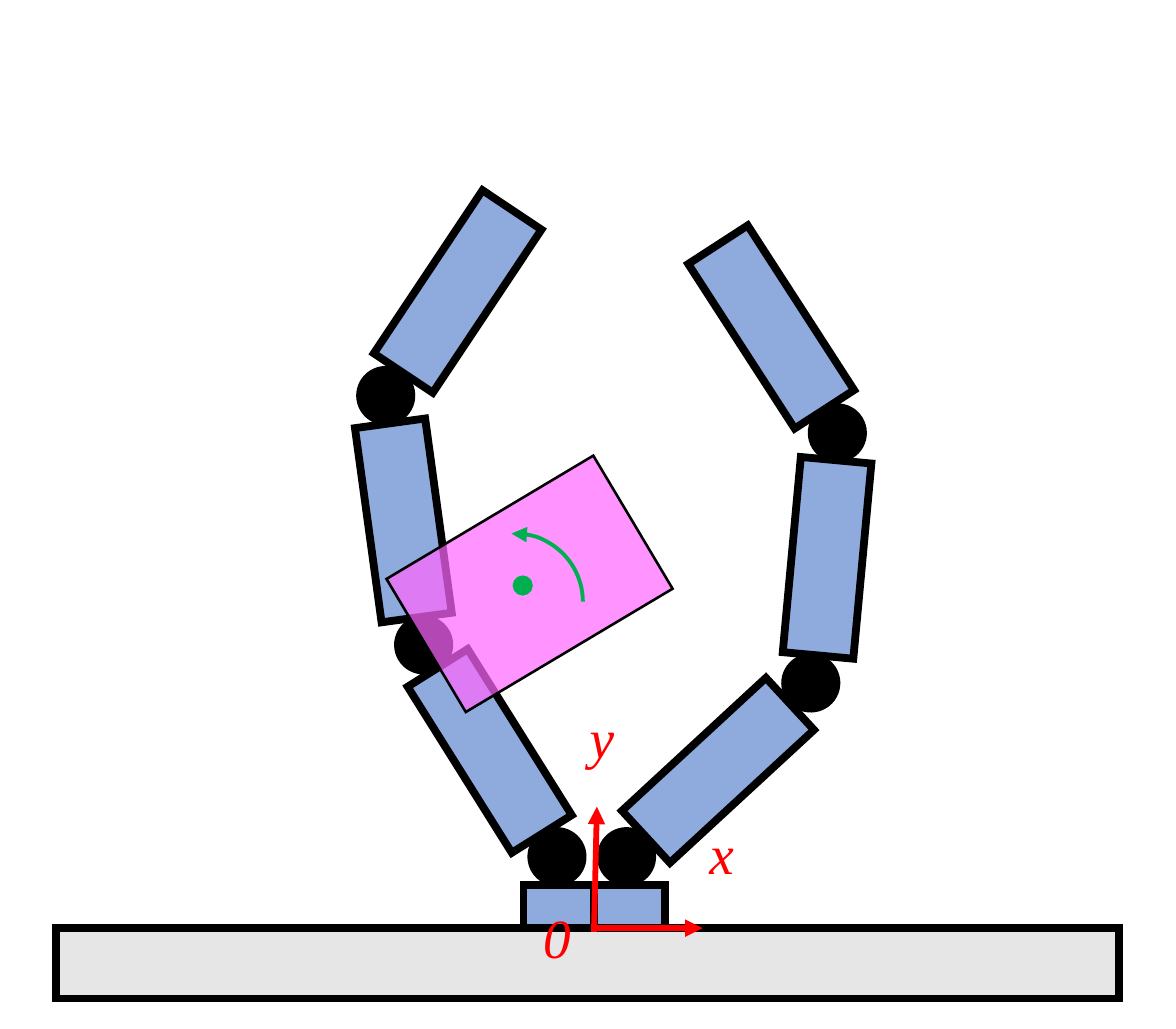
from lxml import etree
from pptx import Presentation, util as u
from pptx.dml.color import RGBColor
from pptx.enum import shapes, text
from pptx.oxml.ns import qn

COLUMNS, ROWS = 630, 551
CELL = u.Inches(0.01)
BLACK, BLUE, GRAY = "000000", "8FAADC", "E7E6E6"
RED, GREEN, PINK = "FF0000", "00B050", "FF66FF"
RECTANGLE = shapes.MSO_SHAPE.RECTANGLE
OVAL = shapes.MSO_SHAPE.OVAL
ARC = shapes.MSO_SHAPE.ARC

BLOCK = dict(preset=RECTANGLE, size=(38, 23), fill=BLUE, weight=3)
GROUND = dict(preset=RECTANGLE, size=(569.4, 38), fill=GRAY, weight=3)
LINK = dict(preset=RECTANGLE, size=(38, 105), fill=BLUE, weight=3)
JOINT = dict(preset=OVAL, size=(25.4, 25.4), fill=BLACK, weight=4.5)
GRASPED = dict(preset=RECTANGLE, size=(83, 129), fill=PINK, opacity=70)
CENTER = dict(preset=OVAL, size=(9.4, 9.4), fill=GREEN, line=GREEN)
TURN = dict(preset=ARC, size=(73, 73), line=GREEN, weight=1.5,
            start=160.386, head="triangle")

GRIPPER = [
    (BLOCK, 299.4, 485.5, 180),
    (GROUND, 314.7, 515.7, 0),
    (LINK, 262.4, 402.1, 327.9),
    (BLOCK, 337.4, 485.5, 180),
    (JOINT, 335.7, 458.7, 231),
    (JOINT, 298.4, 458.7, 231),
    (JOINT, 227, 345.3, 231),
    (LINK, 216.1, 278.7, 352.2),
    (JOINT, 206.7, 211.8, 231),
    (LINK, 384.6, 412.5, 47.3),
    (JOINT, 434.4, 365.7, 231),
    (LINK, 443.1, 298.7, 5.3),
    (JOINT, 448.6, 231.8, 231),
    (LINK, 413.2, 175.1, 327.1),
    (LINK, 245.2, 156.1, 33.7),
]
AXES = [((318.2, 497), (376.4, 497)), ((318.2, 499), (319.8, 432))]
LABELS = [
    ("x", (386.5, 457), (35, 46), text.PP_ALIGN.CENTER),
    ("y", (322.4, 394.5), (38, 46), text.PP_ALIGN.CENTER),
    ("0", (305.2, 502), (48, 46), text.PP_ALIGN.LEFT),
]
LOAD = [
    (GRASPED, 283.7, 312.6, 239.2),
    (CENTER, 280, 313.5, 0),
    (TURN, 275.8, 322.2, 0),
]


def color(value):
    return RGBColor.from_string(value)


def cells(*counts):
    return [round(count * CELL) for count in counts]


def box(middle, size):
    (x, y), (width, height) = middle, size
    return cells(x - width / 2, y - height / 2, width, height)


def set_line(shape, value, weight, **ends):
    shape.line.color.rgb = color(value)
    shape.line.width = u.Pt(weight)
    line = shape.line._get_or_add_ln()
    etree.SubElement(line, qn("a:miter"), lim="800000")
    for end, arrow in ends.items():
        etree.SubElement(line, qn(f"a:{end}End"), type=arrow)


def add_part(slide, style, x, y, rotation):
    shape = slide.shapes.add_shape(style["preset"], *box((x, y), style["size"]))
    shape.rotation = rotation
    shape.shadow.inherit = False
    if "fill" in style:
        shape.fill.solid()
        shape.fill.fore_color.rgb = color(style["fill"])
    else:
        shape.fill.background()
    if "opacity" in style:
        tint = shape.fill._xPr.find(".//" + qn("a:srgbClr"))
        etree.SubElement(tint, qn("a:alpha"), val=str(style["opacity"] * 1000))
    if "start" in style:
        shape.adjustments[0] = style["start"]
    ends = {"head": style["head"]} if "head" in style else {}
    set_line(shape, style.get("line", BLACK), style.get("weight", 1), **ends)


def add_axis(slide, start, end):
    axis = slide.shapes.add_connector(
        shapes.MSO_CONNECTOR.STRAIGHT, *cells(*start, *end))
    set_line(axis, RED, 2.25, tail="triangle")
    etree.SubElement(axis._element.spPr, qn("a:effectLst"))


def add_text(slide, words, middle, size, align, font="Times New Roman",
             points=21.3, fill=RED, italic=True):
    label = slide.shapes.add_textbox(*box(middle, size))
    frame = label.text_frame
    frame.word_wrap = True
    frame.auto_size = text.MSO_AUTO_SIZE.SHAPE_TO_FIT_TEXT
    paragraph = frame.paragraphs[0]
    paragraph.alignment = align
    run = paragraph.add_run()
    run.text = words
    run.font.name = font
    run.font.size = u.Pt(points)
    run.font.italic = italic
    run.font.color.rgb = color(fill)


def main():
    presentation = Presentation()
    presentation.slide_width, presentation.slide_height = cells(COLUMNS, ROWS)
    slide = presentation.slides.add_slide(presentation.slide_layouts[6])
    for part in GRIPPER:
        add_part(slide, *part)
    for start, end in AXES:
        add_axis(slide, start, end)
    for label in LABELS:
        add_text(slide, *label)
    for part in LOAD:
        add_part(slide, *part)
    presentation.save("out.pptx")


if __name__ == "__main__":
    main()
